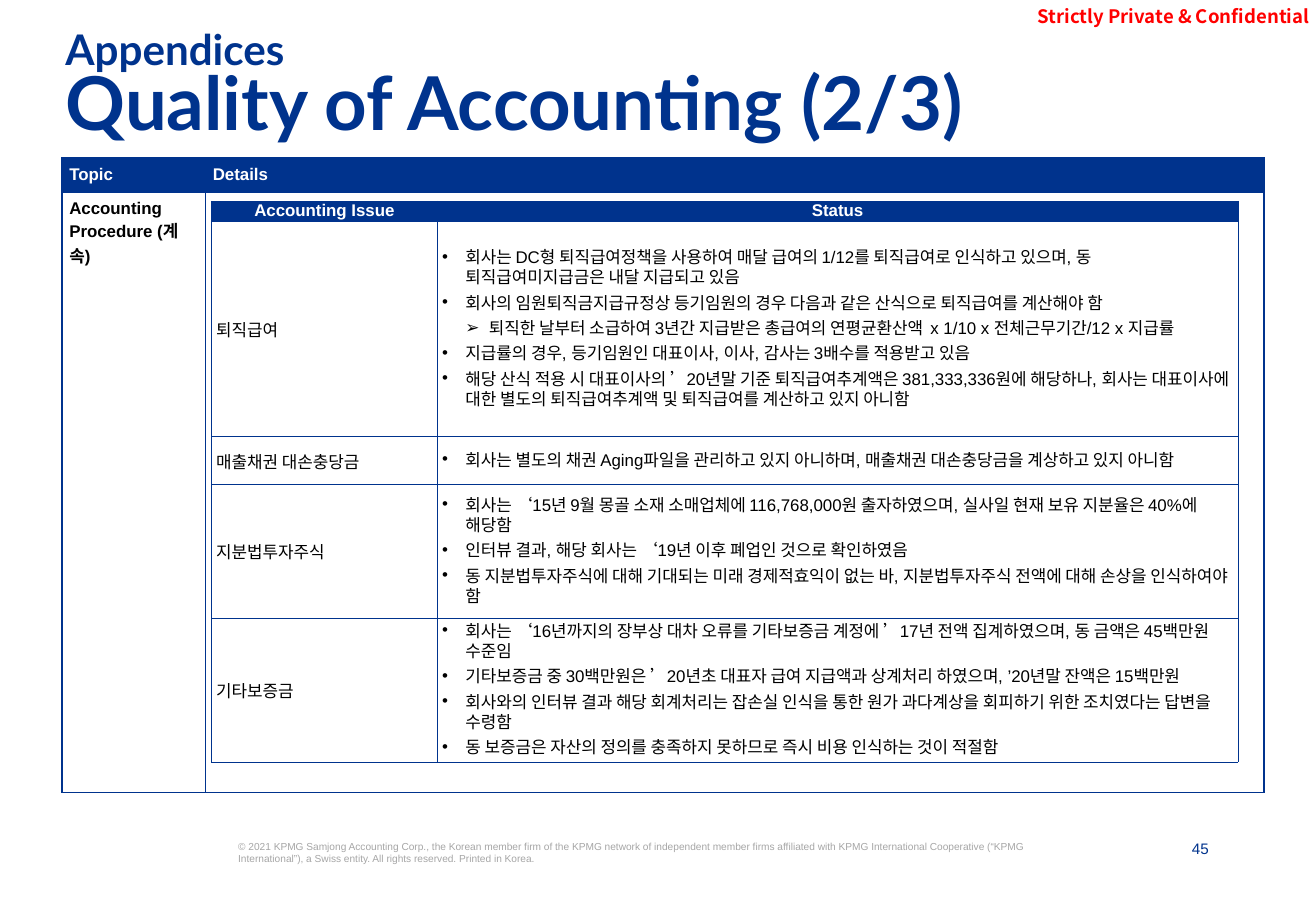
from lxml.etree import SubElement
from pptx import Presentation
from pptx.dml.color import RGBColor
from pptx.enum.text import MSO_ANCHOR as Anchor, PP_ALIGN as Align
from pptx.oxml.ns import qn
from pptx.util import Cm, Pt

NAVY = RGBColor(0x00, 0x33, 0x8D)
RED = RGBColor(0xFF, 0x00, 0x00)
GREY = RGBColor(0xA6, 0xA6, 0xA6)
WHITE = RGBColor(0xFF, 0xFF, 0xFF)
BLACK = RGBColor(0x00, 0x00, 0x00)
KOREAN_FONT = "Noto Sans CJK KR"
BULLET, ARROW = "•", "➢"
BULLET_STEP = 0.49

ISSUES = [
    ("퇴직급여", [
        "회사는 DC형 퇴직급여정책을 사용하여 매달 급여의 1/12를 퇴직급여로 인식하고 있으며, 동 퇴직급여미지급금은 내달 지급되고 있음",
        "회사의 임원퇴직금지급규정상 등기임원의 경우 다음과 같은 산식으로 퇴직급여를 계산해야 함",
        (ARROW, "퇴직한 날부터 소급하여 3년간 지급받은 총급여의 연평균환산액  x 1/10 x 전체근무기간/12 x 지급률"),
        "지급률의 경우, 등기임원인 대표이사, 이사, 감사는 3배수를 적용받고 있음",
        "해당 산식 적용 시 대표이사의 ’20년말 기준 퇴직급여추계액은 381,333,336원에 해당하나, 회사는 대표이사에 대한 별도의 퇴직급여추계액 및 퇴직급여를 계산하고 있지 아니함",
    ]),
    ("매출채권 대손충당금", [
        "회사는 별도의 채권 Aging파일을 관리하고 있지 아니하며, 매출채권 대손충당금을 계상하고 있지 아니함",
    ]),
    ("지분법투자주식", [
        "회사는 ‘15년 9월 몽골 소재 소매업체에 116,768,000원 출자하였으며, 실사일 현재 보유 지분율은 40%에 해당함",
        "인터뷰 결과, 해당 회사는 ‘19년 이후 폐업인 것으로 확인하였음",
        "동 지분법투자주식에 대해 기대되는 미래 경제적효익이 없는 바, 지분법투자주식 전액에 대해 손상을 인식하여야 함",
    ]),
    ("기타보증금", [
        "회사는 ‘16년까지의 장부상 대차 오류를 기타보증금 계정에 ’17년 전액 집계하였으며, 동 금액은 45백만원 수준임",
        "기타보증금 중 30백만원은 ’20년초 대표자 급여 지급액과 상계처리 하였으며, ’20년말 잔액은 15백만원",
        "회사와의 인터뷰 결과 해당 회계처리는 잡손실 인식을 통한 원가 과다계상을 회피하기 위한 조치였다는 답변을 수령함",
        "동 보증금은 자산의 정의를 충족하지 못하므로 즉시 비용 인식하는 것이 적절함",
    ]),
]
COPYRIGHT = (
    "© 2021 KPMG Samjong Accounting Corp., the Korean member firm of the KPMG network of "
    "independent member firms affiliated with KPMG International Cooperative (“KPMG "
    "International”), a Swiss entity. All rights reserved. Printed in Korea."
)


def write(paragraph, text, size=10, font="Arial", color=BLACK, bold=False,
          align=Align.LEFT, spacing=None, before=0, bullet=None):
    """Fill a paragraph with one formatted run."""
    if bullet:
        properties = paragraph._p.get_or_add_pPr()
        level = 2 if bullet == ARROW else 1
        properties.set("marL", str(Cm(BULLET_STEP * level)))
        properties.set("indent", str(-Cm(BULLET_STEP)))
        SubElement(properties, qn("a:buFont"), typeface="Arial")
        SubElement(properties, qn("a:buChar"), char=bullet)
    paragraph.alignment = align
    paragraph.line_spacing = spacing
    paragraph.space_before = Pt(before)
    run = paragraph.add_run()
    run.text = text
    run.font.size, run.font.name, run.font.bold = Pt(size), font, bold
    run.font.color.rgb = color
    SubElement(run.font._element, qn("a:ea"), typeface=KOREAN_FONT)


class SlideBuilder:
    def __init__(self, slide):
        self.slide = slide
        self.line_color = NAVY

    def text(self, left, top, width, height, text, insets=(0, 0, 0, 0),
             anchor=Anchor.TOP, **style):
        box = self.slide.shapes.add_textbox(Cm(left), Cm(top), Cm(width), Cm(height))
        frame = box.text_frame
        frame.word_wrap = True
        frame.vertical_anchor = anchor
        (frame.margin_left, frame.margin_top,
         frame.margin_right, frame.margin_bottom) = map(Cm, insets)
        write(frame.paragraphs[0], text, **style)

    def table(self, left, top, columns, rows, border, inset):
        frame = self.slide.shapes.add_table(
            len(rows), len(columns), Cm(left), Cm(top), Cm(sum(columns)), Cm(sum(rows)))
        table = frame.table
        table.first_row = table.horz_banding = False
        for column, width in zip(table.columns, columns):
            column.width = Cm(width)
        for row, height in zip(table.rows, rows):
            row.height = Cm(height)
        for cell in table.iter_cells():
            cell.margin_left = cell.margin_right = Cm(inset[0])
            cell.margin_top = cell.margin_bottom = Cm(inset[1])
            self.borders(cell, border)
            cell.fill.background()
        return table

    def borders(self, cell, width):
        properties = cell._tc.get_or_add_tcPr()
        for side in ("lnL", "lnR", "lnT", "lnB"):
            line = SubElement(properties, qn(f"a:{side}"), w=str(Pt(width)))
            fill = SubElement(line, qn("a:solidFill"))
            SubElement(fill, qn("a:srgbClr"), val=str(self.line_color))

    def header(self, table, titles, align=Align.LEFT):
        for cell, title in zip(table.rows[0].cells, titles):
            cell.fill.solid()
            cell.fill.fore_color.rgb = NAVY
            write(cell.text_frame.paragraphs[0], title, color=WHITE, bold=True, align=align)

    def bullets(self, cell, items):
        frame = cell.text_frame
        for index, item in enumerate(items):
            mark, text = item if isinstance(item, tuple) else (BULLET, item)
            paragraph = frame.add_paragraph() if index else frame.paragraphs[0]
            write(paragraph, text, bullet=mark, spacing=Pt(12), before=3 if index else 0)


def main():
    presentation = Presentation()
    presentation.slide_width, presentation.slide_height = Cm(27.51), Cm(19.05)
    builder = SlideBuilder(presentation.slides.add_slide(presentation.slide_layouts[6]))

    # Page furniture
    builder.text(24.18, 17.55, 1.09, 0.41, "45", size=9, color=NAVY, align=Align.RIGHT)
    builder.text(21.13, -0.03, 6.35, 0.71, "Strictly Private & Confidential",
                 insets=(0, 0.1, 0.1, 0.1), anchor=Anchor.BOTTOM, size=11,
                 font=KOREAN_FONT, color=RED, bold=True, align=Align.RIGHT)
    builder.text(4.98, 17.58, 16.59, 1.27, COPYRIGHT, size=6, color=GREY)

    # Topic table
    topics = builder.table(1.3, 3.3, (3, 22.12), (0.71, 12.55), border=1, inset=(0.15, 0.15))
    builder.header(topics, ("Topic", "Details"))
    write(topics.cell(1, 0).text_frame.paragraphs[0], "Accounting Procedure (계속)", bold=True)

    # Accounting issues inside the details cell
    issues = builder.table(4.42, 4.21, (4.72, 16.74), (0.41, 4.5, 1, 2.8, 3),
                           border=0.5, inset=(0.1, 0))
    builder.header(issues, ("Accounting Issue", "Status"), align=Align.CENTER)
    for row, (issue, status) in enumerate(ISSUES, start=1):
        name_cell, status_cell = issues.rows[row].cells
        name_cell.vertical_anchor = status_cell.vertical_anchor = Anchor.MIDDLE
        write(name_cell.text_frame.paragraphs[0], issue)
        builder.bullets(status_cell, status)

    # Titles
    for top, height, size, title in ((0.64, 0.76, 25, "Appendices"),
                                     (1.55, 1.63, 44, "Quality of Accounting (2/3)")):
        builder.text(1.12, top, 23.88, height, title, insets=(0.25, 0.13, 0.25, 0.13),
                     size=size, font="Lato", color=NAVY, bold=True, spacing=0.7)

    presentation.save("out.pptx")


if __name__ == "__main__":
    main()
